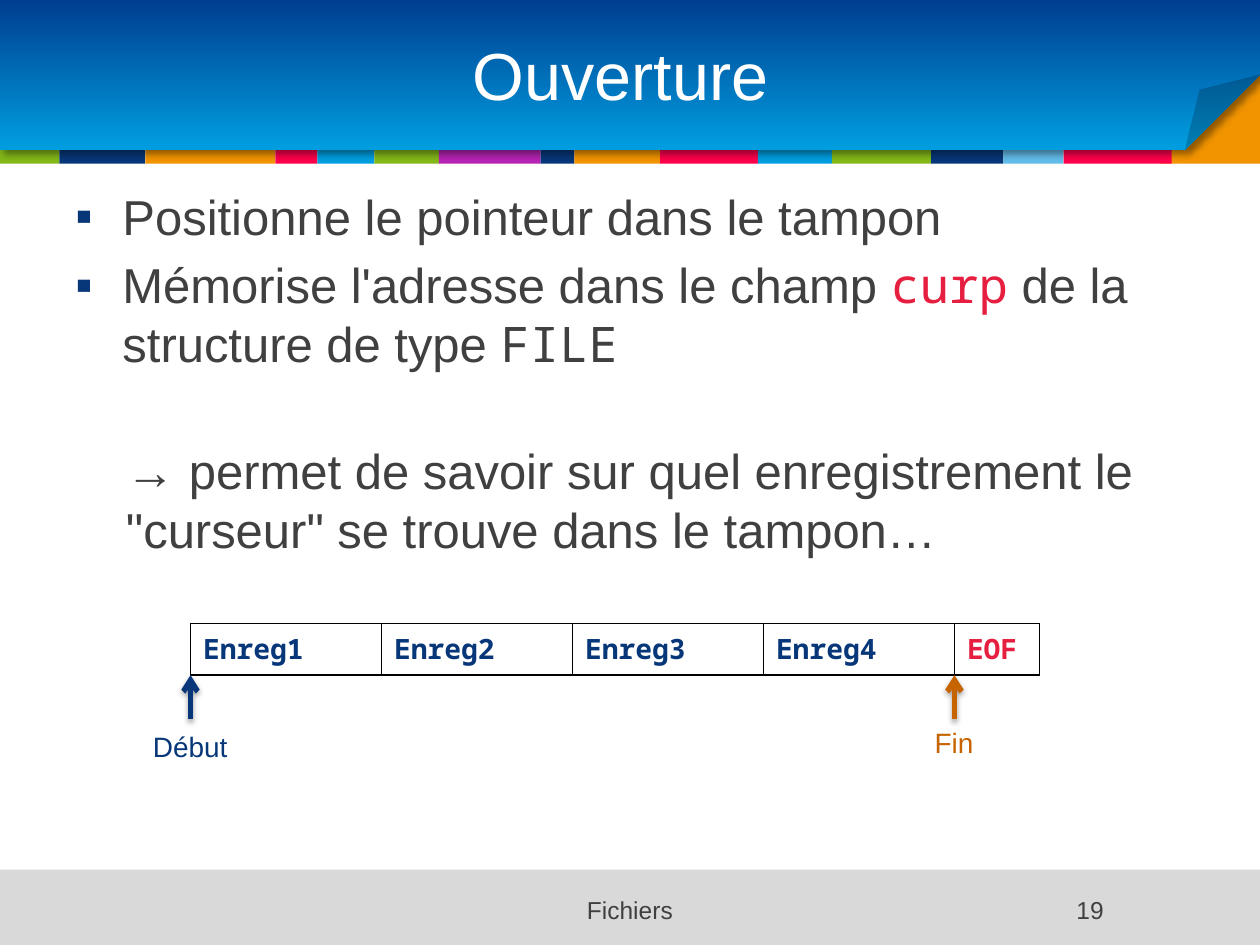
from itertools import pairwise

from lxml.etree import SubElement as Sub
from pptx import Presentation
from pptx.dml.color import RGBColor
from pptx.enum.shapes import MSO_CONNECTOR as Link, MSO_SHAPE as Form
from pptx.enum.text import MSO_ANCHOR as Anchor, PP_ALIGN as Align
from pptx.oxml.ns import qn
from pptx.util import Cm, Pt

NAVY, ORANGE, RED, BLUE = "073779", "F29400", "FF014B", "009EE0"
GREEN, PURPLE, SKY = "83B818", "B523B4", "62BCE9"
GREY, ROSE, RUST, WHITE = "404040", "E61E3F", "C76402", "FFFFFF"
SANS, MONO = "Arial", "Noto Sans Mono"
EDGES = [0, 1.2, 2.93, 5.55, 6.4, 7.55, 8.85, 10.9, 11.58,
         13.31, 15.28, 16.77, 18.77, 20.23, 21.44, 23.62]
HUES = [GREEN, NAVY, ORANGE, RED, BLUE, GREEN, PURPLE, NAVY,
        ORANGE, RED, BLUE, GREEN, NAVY, SKY, RED]


def rgb(code):
    return RGBColor.from_string(code)


def style(run, size, code=GREY, face=SANS, bold=False):
    font = run.font
    font.size, font.name, font.bold = Pt(size), face, bold
    font.color.rgb = rgb(code)


def add_shape(slide, form, box, code):
    shape = slide.shapes.add_shape(form, *map(Cm, box))
    shape.shadow.inherit = False
    shape.fill.solid()
    shape.fill.fore_color.rgb = rgb(code)
    shape.line.fill.background()
    return shape


def add_text(slide, box, text, size, code=GREY, align=Align.CENTER,
             anchor=Anchor.TOP):
    label = slide.shapes.add_textbox(*map(Cm, box))
    frame = label.text_frame
    frame.word_wrap = True
    frame.vertical_anchor = anchor
    frame.text = text
    para = frame.paragraphs[0]
    para.alignment = align
    for run in para.runs:
        style(run, size, code)
    return frame


def add_shadow(shape, alpha, blur, dist, angle):
    props = shape._element.spPr
    for old in props.findall(qn("a:effectLst")):
        props.remove(old)
    effects = Sub(props, qn("a:effectLst"))
    shade = Sub(effects, qn("a:outerShdw"), blurRad=str(Pt(blur)),
                dist=str(Pt(dist)), dir=str(angle * 60000), rotWithShape="0")
    tint = Sub(shade, qn("a:srgbClr"), val="000000")
    Sub(tint, qn("a:alpha"), val=str(alpha * 1000))


def add_header(slide, box):
    x, y, w, h = box
    add_shape(slide, Form.RECTANGLE, (x + 23.4, y + 1.19, w - 23.4, 2.11), ORANGE)
    for (left, right), hue in zip(pairwise(EDGES), HUES):
        add_shape(slide, Form.RECTANGLE, (x + left, y + 2.06, right - left, 1.24), hue)
    sheet = add_shape(slide, Form.FOLDED_CORNER, (x, y, w, h), BLUE)
    guides = next(sheet._element.iter(qn("a:avLst")))
    Sub(guides, qn("a:gd"), name="adj", fmla="val 50000")
    sheet.fill.gradient()
    sheet.fill.gradient_angle = 90
    for stop, code in zip(sheet.fill.gradient_stops, (BLUE, "003E90")):
        stop.color.rgb = rgb(code)
    add_shadow(sheet, 40, 4, 3, 45)
    add_text(slide, (x + 1.27, y + 0.18, w - 2.54, 2.62), "Ouverture ", 38,
             WHITE, anchor=Anchor.MIDDLE)


def add_bullet(para):
    props = para._p.get_or_add_pPr()
    props.set("indent", str(-Cm(0.95)))
    tint = Sub(props, qn("a:buClr"))
    Sub(tint, qn("a:srgbClr"), val=NAVY)
    Sub(props, qn("a:buFont"), typeface=SANS)
    Sub(props, qn("a:buChar"), char="▪")


def add_body(slide, box):
    plain = (GREY, SANS)
    items = [
        (True, 5.6, [("Positionne le pointeur dans le tampon", plain)]),
        (True, 5.6, [("Mémorise l'adresse dans le champ ", plain),
                     ("curp", (ROSE, MONO)),
                     (" de la structure de type ", plain),
                     ("FILE", (GREY, MONO))]),
        (False, 39, [("→ \tpermet de savoir sur quel enregistrement le "
                      "\t\"curseur\" se trouve dans le tampon…", plain)]),
    ]
    frame = slide.shapes.add_textbox(*map(Cm, box)).text_frame
    frame.word_wrap = True
    for rank, (marked, gap, parts) in enumerate(items):
        para = frame.add_paragraph() if rank else frame.paragraphs[0]
        para.space_before = Pt(gap)
        para._p.get_or_add_pPr().set("marL", str(Cm(0.95 if marked else 1.02)))
        if marked:
            add_bullet(para)
        for text, (code, face) in parts:
            run = para.add_run()
            run.text = text
            style(run, 28, code, face)


def add_border(cell):
    props = cell._tc.get_or_add_tcPr()
    for rank, side in enumerate(("lnL", "lnR", "lnT", "lnB")):
        line = props.makeelement(qn("a:" + side), {"w": str(Pt(1))})
        fill = Sub(line, qn("a:solidFill"))
        Sub(fill, qn("a:srgbClr"), val="000000")
        props.insert(rank, line)


def add_mark(slide, x, y, text, code, drop):
    arrow = slide.shapes.add_connector(Link.STRAIGHT, Cm(x), Cm(y + 0.89), Cm(x), Cm(y))
    arrow.line.color.rgb = rgb(code)
    arrow.line.width = Pt(3)
    Sub(arrow.line._get_or_add_ln(), qn("a:tailEnd"), type="arrow")
    add_shadow(arrow, 35, 3.1, 1.8, 90)
    frame = add_text(slide, (x - 1.02, y + drop, 2.03, 0.94), text, 16, code)
    frame.word_wrap = False


def add_buffer(slide, box):
    x, y, w, h = box
    names = ["Enreg1", "Enreg2", "Enreg3", "Enreg4", "EOF"]
    wide = 3.85
    span = wide * (len(names) - 1)
    grid = slide.shapes.add_table(1, len(names), *map(Cm, box)).table
    grid.first_row = grid.horz_banding = False
    for rank, name in enumerate(names):
        last = name == "EOF"
        grid.columns[rank].width = Cm(w - span if last else wide)
        cell = grid.cell(0, rank)
        cell.fill.background()
        add_border(cell)
        cell.text_frame.text = name
        style(cell.text_frame.paragraphs[0].runs[0], 16,
              ROSE if last else NAVY, MONO, True)
    add_mark(slide, x, y + h, "Début", NAVY, 0.97)
    add_mark(slide, x + span, y + h, "Fin", RUST, 0.89)


def add_footer(slide, box):
    x, y, w, h = box
    add_shape(slide, Form.RECTANGLE, box, "D9D9D9")
    add_text(slide, (x + 6.5, y + 0.33, 12.4, 0.94), "Fichiers", 14,
             anchor=Anchor.MIDDLE)
    add_text(slide, (x + 19.5, y + 0.33, 3, 0.94), "19", 14,
             align=Align.RIGHT, anchor=Anchor.MIDDLE)


def main():
    deck = Presentation()
    deck.slide_width, deck.slide_height = Cm(25.4), Cm(19.05)
    slide = deck.slides.add_slide(deck.slide_layouts[6])
    add_header(slide, (0, 0, 25.4, 3.02))
    add_footer(slide, (0, 17.53, 25.4, 1.52))
    add_body(slide, (1.27, 3.63, 23.6, 13.39))
    add_buffer(slide, (3.84, 12.57, 17.12, 1.04))
    deck.save("out.pptx")


if __name__ == "__main__":
    main()
